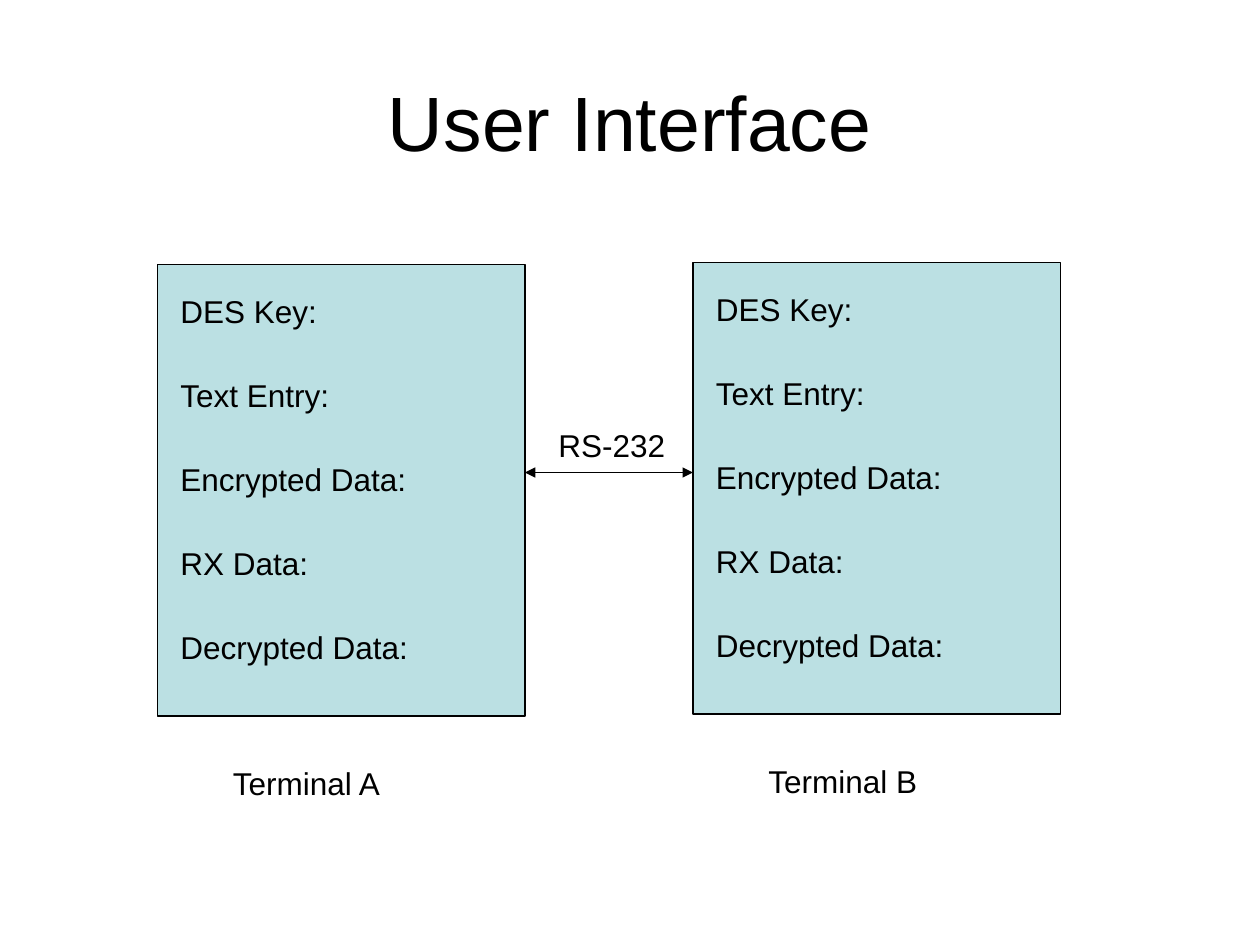
from lxml.etree import SubElement
from pptx import Presentation
from pptx.dml.color import RGBColor
from pptx.enum.shapes import MSO_CONNECTOR, MSO_SHAPE
from pptx.enum.text import MSO_ANCHOR, PP_ALIGN
from pptx.oxml.ns import qn
from pptx.util import Inches, Pt

COLUMNS, ROWS = 120, 90
WIDTH, HEIGHT = Inches(10), Inches(7.5)
LABEL_ROWS = 4.8
FIELD_STEP = 8
FIELDS = [
    ("DES Key:", 18),
    ("Text Entry:", 18),
    ("Encrypted Data:", 26),
    ("RX Data:", 18),
    ("Decrypted Data:", 27),
]


def colour(value):
    """Turn a hex string into a colour."""
    return RGBColor.from_string(value)


def place(left, top, width, height):
    """Convert a box in grid columns and rows to slide lengths."""
    column, row = WIDTH / COLUMNS, HEIGHT / ROWS
    return [round(length) for length in (left * column, top * row, width * column, height * row)]


def format_text(paragraph, size):
    """Give a paragraph the slide's font at one size."""
    for name, value in {"name": "Arial", "size": Pt(size), "bold": False}.items():
        setattr(paragraph.font, name, value)
    paragraph.font.color.rgb = colour("000000")


def add_title(slide, text, box):
    """Move the title placeholder into its box and fill it."""
    title = slide.shapes.title
    for name, value in zip(("left", "top", "width", "height"), place(*box)):
        setattr(title, name, value)
    title.text_frame.text = text
    title.text_frame.vertical_anchor = MSO_ANCHOR.MIDDLE
    paragraph = title.text_frame.paragraphs[0]
    paragraph.alignment = PP_ALIGN.CENTER
    format_text(paragraph, 44)


def add_label(slide, text, left, top, width):
    """Add a one-line label."""
    label = slide.shapes.add_textbox(*place(left, top, width, LABEL_ROWS))
    label.text_frame.word_wrap = True
    label.text_frame.text = text
    format_text(label.text_frame.paragraphs[0], 18)


def add_terminal(slide, name, box):
    """Draw a terminal panel with its fields and the name below."""
    left, top, _, height = box
    panel = slide.shapes.add_shape(MSO_SHAPE.RECTANGLE, *place(*box))
    panel.shadow.inherit = False
    panel.fill.solid()
    panel.fill.fore_color.rgb = colour("BBE0E3")
    panel.line.color.rgb = colour("000000")
    panel.line.width = Pt(0.75)
    add_label(slide, name, left + 6, top + height + 4, 18)
    for index, (field, width) in enumerate(FIELDS):
        add_label(slide, field, left + 1, top + 2 + index * FIELD_STEP, width)


def add_link(slide, text, box):
    """Draw a two-headed arrow along the bottom of the box, with a label above."""
    left, top, width, height = box
    start, bottom, length, _ = place(left, top + height, width, 0)
    link = slide.shapes.add_connector(
        MSO_CONNECTOR.STRAIGHT, start, bottom, start + length, bottom
    )
    link.line.color.rgb = colour("000000")
    link.line.width = Pt(0.75)
    outline = link.line._get_or_add_ln()
    for end in ("a:headEnd", "a:tailEnd"):
        SubElement(outline, qn(end), type="triangle")
    SubElement(link._element.spPr, qn("a:effectLst"))
    add_label(slide, text, left + 2, top, 13)


def main():
    """Build and save the slide."""
    presentation = Presentation()
    presentation.slide_width, presentation.slide_height = WIDTH, HEIGHT
    slide = presentation.slides.add_slide(presentation.slide_layouts[5])
    add_title(slide, "User Interface", (6, 4, 108, 15))
    add_terminal(slide, "Terminal A", (15, 25.2, 35, 43))
    add_terminal(slide, "Terminal B", (66, 25, 35, 43))
    add_link(slide, "RS-232", (50, 40, 16, 5))
    presentation.save("out.pptx")


if __name__ == "__main__":
    main()
